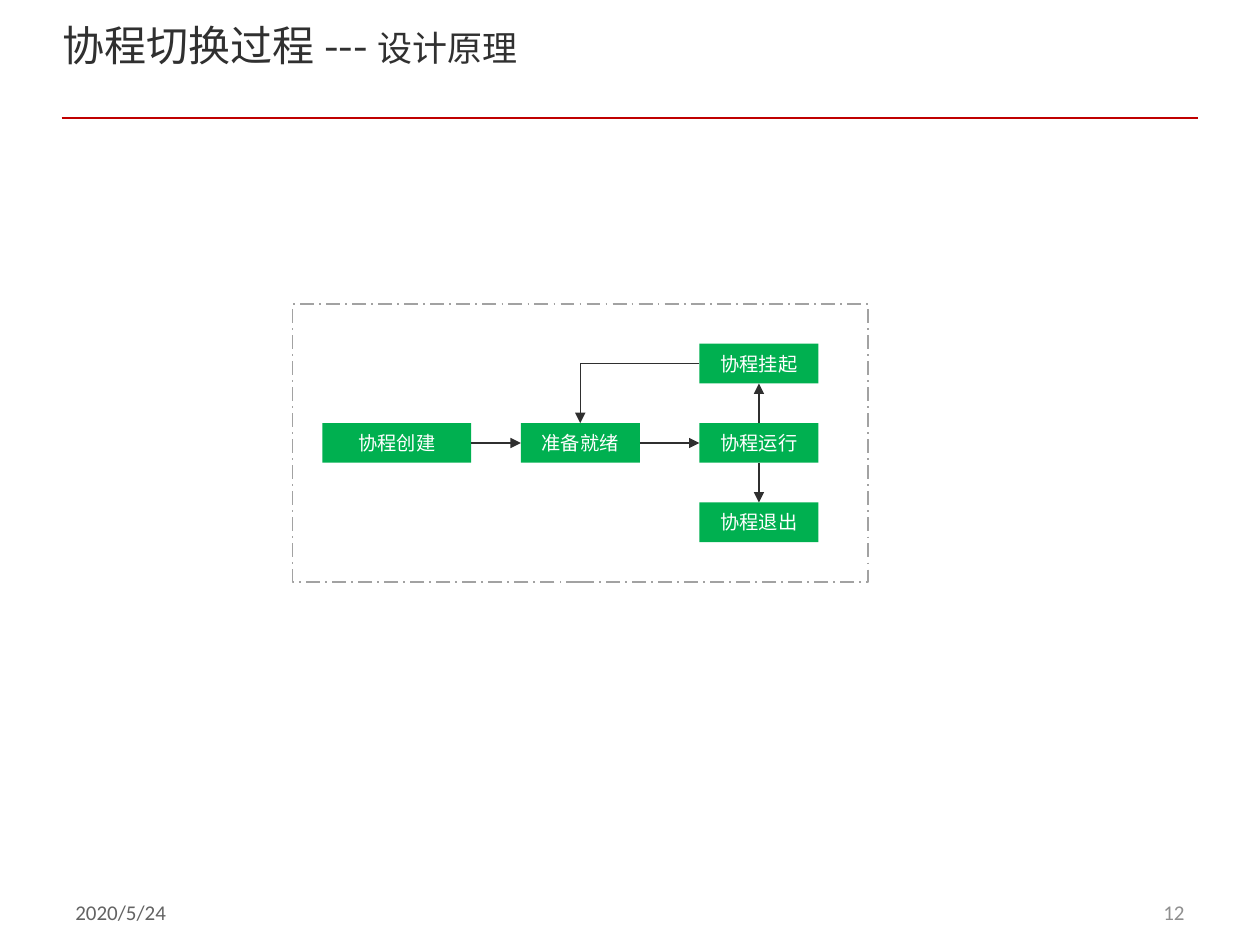
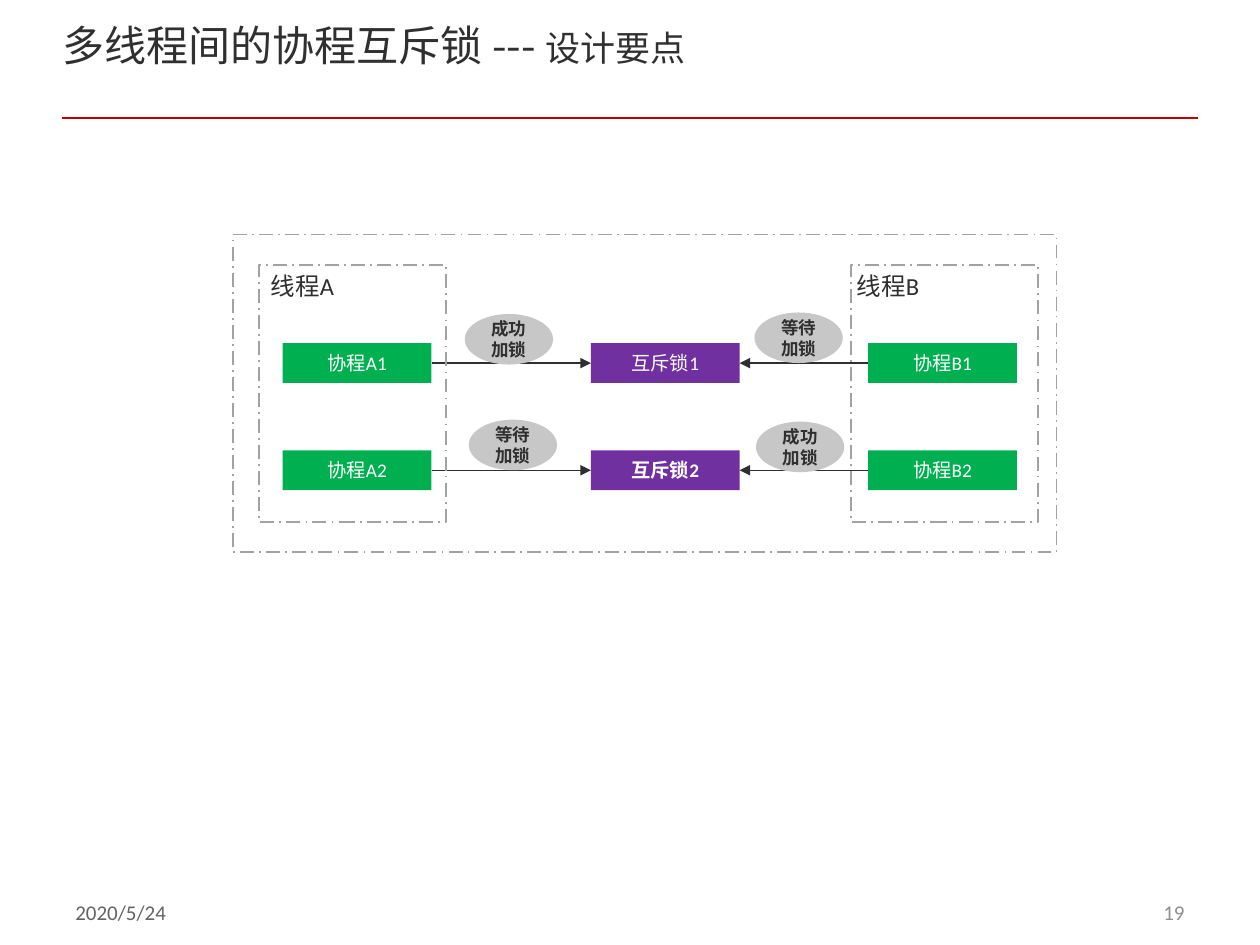
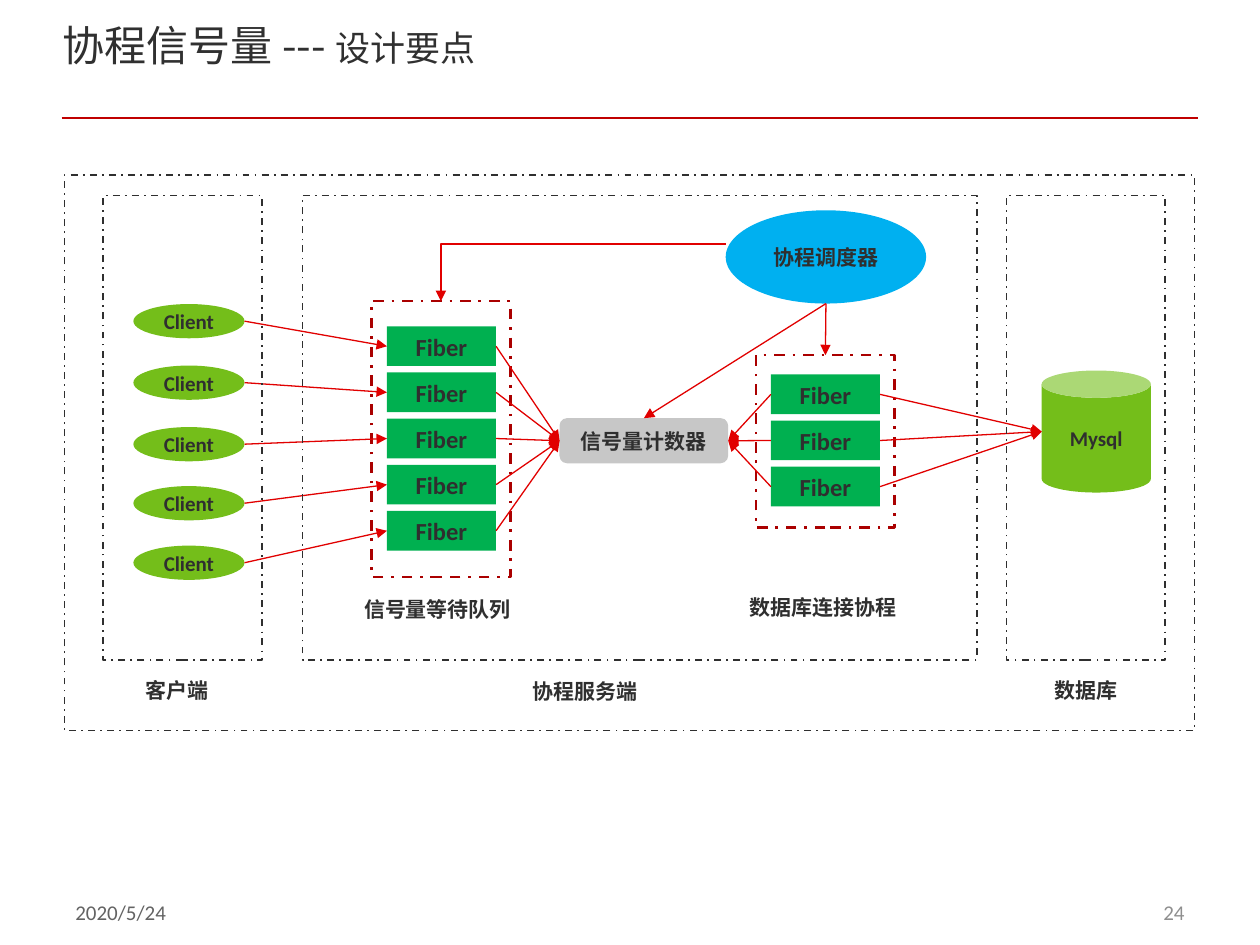
from lxml.etree import SubElement
from pptx import Presentation
from pptx.dml.color import RGBColor
from pptx.enum.dml import MSO_LINE as Dash
from pptx.enum.shapes import MSO_CONNECTOR as Link, MSO_SHAPE as Form
from pptx.enum.text import MSO_ANCHOR as Anchor, PP_ALIGN as Align
from pptx.oxml.ns import qn
from pptx.shapes.autoshape import Shape
from pptx.util import Cm, Pt

INK = RGBColor(0x2F, 0x2F, 0x2F)
TITLE_INK = RGBColor(0x30, 0x30, 0x30)
DATE_INK = RGBColor(0x63, 0x63, 0x63)
PAGE_INK = RGBColor(0x8F, 0x8F, 0x8F)
WHITE = RGBColor(0xFF, 0xFF, 0xFF)
RULE_RED = RGBColor(0xC0, 0x00, 0x00)
ARROW_RED = RGBColor(0xE1, 0x00, 0x00)
FRAME_RED = RGBColor(0xAA, 0x00, 0x00)
FRAME_GRAY = RGBColor(0xA2, 0xA2, 0xA2)
GRAY = RGBColor(0xC7, 0xC7, 0xC7)
GREEN = RGBColor(0x00, 0xB0, 0x50)
LIME = RGBColor(0x74, 0xBE, 0x1A)
PURPLE = RGBColor(0x70, 0x30, 0xA0)
BLUE = RGBColor(0x00, 0xB0, 0xF0)

LATIN, CJK = "Calibri", "Noto Sans CJK SC"
TOP, LEFT, BOTTOM, RIGHT = range(4)
GLUED_FORMS = (Form.RECTANGLE, Form.ROUNDED_RECTANGLE)


def write(frame, text, size=11, color=INK, bold=False, font=LATIN, align=Align.LEFT):
    """Append text as one run to the first paragraph of a text frame."""
    paragraph = frame.paragraphs[0]
    paragraph.alignment = align
    run = paragraph.add_run()
    run.text = text
    run.font.size, run.font.bold, run.font.name = Pt(size), bold, font
    run.font.color.rgb = color
    SubElement(run._r.get_or_add_rPr(), qn("a:ea"), typeface=CJK)


def side_point(shape, side):
    """Middle of a side of the shape's bounding box."""
    across = {LEFT: 0, RIGHT: shape.width}.get(side, shape.width // 2)
    down = {TOP: 0, BOTTOM: shape.height}.get(side, shape.height // 2)
    return shape.left + across, shape.top + down


class Deck:
    """Holds the presentation, its shared style and the current slide."""

    def __init__(self):
        self.prs = Presentation()
        self.prs.slide_width, self.prs.slide_height = Cm(25.4), Cm(19.05)
        self.shapes = None

    def start_slide(self, topic, aspect, page):
        self.shapes = self.prs.slides.add_slide(self.prs.slide_layouts[6]).shapes
        self.line((Cm(1.24), Cm(2.38)), (Cm(24.16), Cm(2.38)), RULE_RED, 1)
        self.label("2020/5/24", 1.27, 17.72, 5.93, 1.35, anchor=Anchor.MIDDLE,
                   size=12, color=DATE_INK)
        self.label(page, 18.2, 17.72, 5.93, 1.35, anchor=Anchor.MIDDLE,
                   size=12, color=PAGE_INK, align=Align.RIGHT)
        heading = self.label(f"{topic} --- ", 1.27, 0.51, 19.63, 1.78,
                             size=24, color=TITLE_INK, font=CJK)
        write(heading, aspect, size=20, color=TITLE_INK, font=CJK)
        heading.margin_left = heading.margin_right = 0
        heading.margin_top = heading.margin_bottom = 0
        heading.paragraphs[0].line_spacing = 0.9

    def label(self, text, x, y, w, h=0.76, anchor=Anchor.TOP, **style):
        frame = self.shapes.add_textbox(Cm(x), Cm(y), Cm(w), Cm(h)).text_frame
        frame.word_wrap = True
        frame.vertical_anchor = anchor
        write(frame, text, **style)
        return frame

    def node(self, text, x, y, w, h=0.8, fill=GREEN, form=Form.RECTANGLE,
             color=WHITE, **style):
        node = self.shapes.add_shape(form, Cm(x), Cm(y), Cm(w), Cm(h))
        node.shadow.inherit = False
        node.fill.solid()
        node.fill.fore_color.rgb = fill
        node.line.fill.background()
        node.text_frame.word_wrap = True
        node.text_frame.vertical_anchor = Anchor.MIDDLE
        write(node.text_frame, text, color=color, align=Align.CENTER, **style)
        return node

    def frame(self, x, y, w, h, color=FRAME_GRAY, width=1, dash=Dash.LONG_DASH_DOT):
        frame = self.shapes.add_shape(Form.RECTANGLE, Cm(x), Cm(y), Cm(w), Cm(h))
        frame.shadow.inherit = False
        frame.fill.background()
        frame.line.color.rgb = color
        frame.line.width = Pt(width)
        frame.line.dash_style = dash
        return frame

    def line(self, start, end, color, width, kind=Link.STRAIGHT):
        line = self.shapes.add_connector(kind, *start, *end)
        line.line.color.rgb = color
        line.line.width = Pt(width)
        SubElement(line._element.spPr, qn("a:effectLst"))
        return line

    def arrow(self, source, target, color=INK, elbow=False):
        """Link two ends, each a (shape, side) pair or an (x, y) point."""
        ends = (source, target)
        points = [side_point(*end) if isinstance(end[0], Shape) else end for end in ends]
        arrow = self.line(*points, color, 0.75, Link.ELBOW if elbow else Link.STRAIGHT)
        if elbow:
            arrow._element.spPr.find(qn("a:prstGeom")).set("prst", "bentConnector2")
        for end, connect in zip(ends, (arrow.begin_connect, arrow.end_connect)):
            if isinstance(end[0], Shape) and end[0].auto_shape_type in GLUED_FORMS:
                connect(*end)
        SubElement(arrow.line._get_or_add_ln(), qn("a:tailEnd"), type="triangle")


def switching_slide(deck):
    deck.start_slide("协程切换过程", "设计原理", "12")
    row, step, state_x = 8.53, 1.6, 14.1
    created = deck.node("协程创建", 6.5, row, 3)
    ready = deck.node("准备就绪", 10.5, row, 2.4)
    suspended, running, exited = [
        deck.node(text, state_x, row + i * step, 2.4)
        for i, text in enumerate(("协程挂起", "协程运行", "协程退出"), -1)]
    deck.arrow((created, RIGHT), (ready, LEFT))
    deck.arrow((ready, RIGHT), (running, LEFT))
    deck.arrow((running, BOTTOM), (exited, TOP))
    deck.arrow((running, TOP), (suspended, BOTTOM))
    deck.arrow((suspended, LEFT), (ready, TOP), elbow=True)
    deck.frame(5.9, 6.13, 11.6, 5.6)


def mutex_slide(deck):
    deck.start_slide("多线程间的协程互斥锁", "设计要点", "19")
    for i in (1, 2):
        y = 6.92 + (i - 1) * 2.16
        fiber_a = deck.node(f"协程A{i}", 5.7, y, 3)
        mutex = deck.node(f"互斥锁{i}", 11.91, y, 3, fill=PURPLE, bold=i == 2)
        fiber_b = deck.node(f"协程B{i}", 17.5, y, 3)
        deck.arrow((fiber_a, RIGHT), (mutex, LEFT))
        deck.arrow((fiber_b, LEFT), (mutex, RIGHT))
    locked, waiting = "成功加锁", "等待加锁"
    for text, x, y in ((locked, 9.37, 6.33), (waiting, 9.45, 8.46),
                       (waiting, 15.21, 6.3), (locked, 15.24, 8.5)):
        deck.node(text, x, y, 1.78, 1.02, fill=GRAY, form=Form.OVAL,
                  color=INK, size=10, bold=True)
    for name, frame_x, label_x in (("线程A", 5.22, 5.21), ("线程B", 17.15, 17.02)):
        deck.frame(frame_x, 5.34, 3.77, 5.18)
        deck.label(name, label_x, 5.34, 3.89, 0.85, size=14)
    deck.frame(4.7, 4.73, 16.6, 6.4)


def semaphore_slide(deck):
    deck.start_slide("协程信号量", "设计要点", "24")
    strong = dict(size=12, bold=True, color=INK)

    def fibers(x, y, count):
        return [deck.node("Fiber", x, y + i * 0.93, 2.2, size=14, bold=True, color=INK)
                for i in range(count)]

    def red_arrow(source, target, elbow=False):
        deck.arrow(source, target, ARROW_RED, elbow)

    def zone(x, y, w, h):
        deck.frame(x, y, w, h, INK, dash=Dash.DASH_DOT)

    queue_frame, pool_frame = [
        deck.frame(x, y, 2.8, h, FRAME_RED, 1.5, Dash.DASH_DOT)
        for x, y, h in ((7.49, 6.07, 5.56), (15.24, 7.16, 3.48))]
    queue = fibers(7.8, 6.58, 5)
    pool = fibers(15.54, 7.55, 3)
    counter = deck.node("信号量计数器", 11.28, 8.43, 3.4, 0.91, fill=GRAY,
                        form=Form.ROUNDED_RECTANGLE, **strong)
    scheduler = deck.node("协程调度器", 14.63, 4.24, 4.04, 1.88, fill=BLUE,
                          form=Form.OVAL, **strong)
    database = deck.node("Mysql", 21, 7.47, 2.2, 2.46, fill=LIME, form=Form.CAN, **strong)

    for fiber, client_y in zip(queue, (6.13, 7.37, 8.61, 9.8, 11)):
        client = deck.node("Client", 2.69, client_y, 2.24, 0.69, fill=LIME,
                           form=Form.OVAL, **strong)
        red_arrow((client, RIGHT), (fiber, LEFT))
        red_arrow((fiber, RIGHT), (counter, LEFT))
    for fiber in pool:
        red_arrow((fiber, LEFT), (counter, RIGHT))
        red_arrow((fiber, RIGHT), (database, LEFT))
    red_arrow((scheduler, BOTTOM), (counter, TOP))
    red_arrow((scheduler, BOTTOM), (pool_frame, TOP))
    red_arrow((scheduler.left, Cm(4.92)), (queue_frame, TOP), elbow=True)

    zone(1.3, 3.53, 22.78, 11.2)
    for x, w in ((2.08, 3.2), (6.1, 13.59), (20.29, 3.2)):
        zone(x, 3.94, w, 9.37)
    for text, x, y, w in (("信号量等待队列", 7.09, 11.91, 3.81),
                          ("数据库连接协程", 14.86, 11.86, 3.81),
                          ("客户端", 2.69, 13.54, 1.88),
                          ("协程服务端", 10.49, 13.55, 2.72),
                          ("数据库", 21, 13.54, 1.88)):
        deck.label(text, x, y, w, **strong)


def main():
    deck = Deck()
    for build in (switching_slide, mutex_slide, semaphore_slide):
        build(deck)
    deck.prs.save("out.pptx")


if __name__ == "__main__":
    main()
